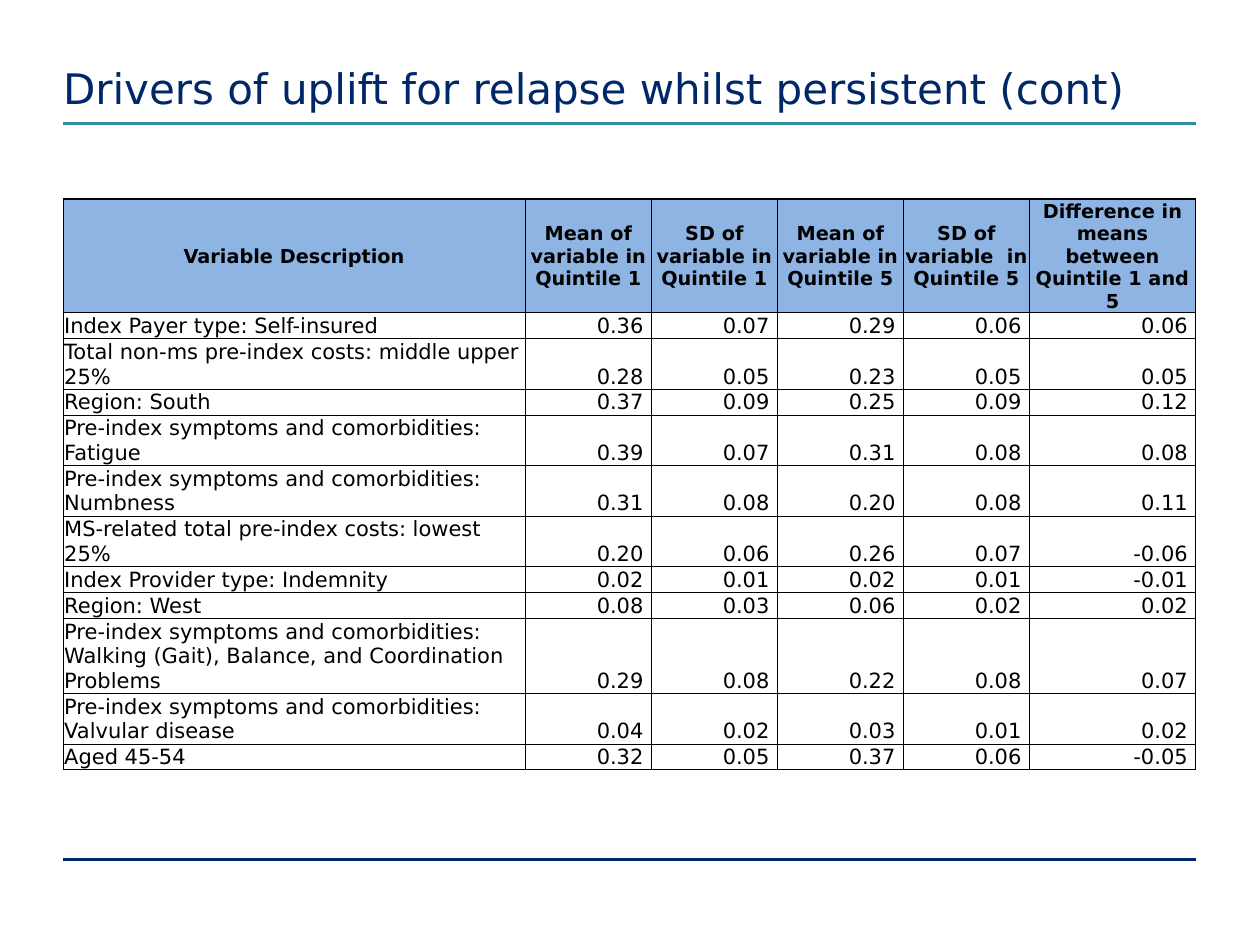
from lxml.etree import SubElement
from pptx import Presentation
from pptx.dml.color import RGBColor
from pptx.enum.shapes import MSO_CONNECTOR
from pptx.enum.text import MSO_ANCHOR, PP_ALIGN
from pptx.oxml.ns import qn
from pptx.util import Inches, Pt

NAVY = RGBColor(0x00, 0x28, 0x68)
TEAL = RGBColor(0x2E, 0x8D, 0x9E)
HEADER_BLUE = RGBColor(0x8D, 0xB4, 0xE3)
BLACK = RGBColor(0x00, 0x00, 0x00)
FONT = "DejaVu Sans"

LEFT, RIGHT = 0.5, 9.49
COLUMN_WIDTHS = [3.67, 1, 1, 1, 1, 1.32]
HEADER_HEIGHT = 0.9
LINE_HEIGHT = 0.19
ROW_PADDING = 0.01

HEADERS = [
    "Variable Description",
    "Mean of variable in Quintile 1",
    "SD of variable in Quintile 1",
    "Mean of variable in Quintile 5",
    "SD of variable  in Quintile 5",
    "Difference in means between Quintile 1 and 5",
]
# Number of text lines, description, values
DRIVERS = [
    (1, "Index Payer type: Self-insured", [0.36, 0.07, 0.29, 0.06, 0.06]),
    (2, "Total non-ms pre-index costs: middle upper 25%", [0.28, 0.05, 0.23, 0.05, 0.05]),
    (1, "Region: South", [0.37, 0.09, 0.25, 0.09, 0.12]),
    (2, "Pre-index symptoms and comorbidities: Fatigue", [0.39, 0.07, 0.31, 0.08, 0.08]),
    (2, "Pre-index symptoms and comorbidities: Numbness", [0.31, 0.08, 0.20, 0.08, 0.11]),
    (2, "MS-related total pre-index costs: lowest 25%", [0.20, 0.06, 0.26, 0.07, -0.06]),
    (1, "Index Provider type: Indemnity", [0.02, 0.01, 0.02, 0.01, -0.01]),
    (1, "Region: West", [0.08, 0.03, 0.06, 0.02, 0.02]),
    (3, "Pre-index symptoms and comorbidities: Walking (Gait), Balance, and "
        "Coordination Problems", [0.29, 0.08, 0.22, 0.08, 0.07]),
    (2, "Pre-index symptoms and comorbidities: Valvular disease",
        [0.04, 0.02, 0.03, 0.01, 0.02]),
    (1, "Aged 45-54", [0.32, 0.05, 0.37, 0.06, -0.05]),
]


def format_text(paragraph, size, color, bold=False, align=PP_ALIGN.LEFT):
    paragraph.alignment = align
    for span in paragraph.runs:
        span.font.name = FONT
        span.font.size = Pt(size)
        span.font.bold = bold
        span.font.color.rgb = color


def add_title(page, text):
    title = page.shapes.title
    title.left, title.top = Inches(LEFT), Inches(0)
    title.width, title.height = Inches(9), Inches(0.9)
    frame = title.text_frame
    frame.margin_left = frame.margin_right = 0
    frame.margin_top = frame.margin_bottom = 0
    frame.vertical_anchor = MSO_ANCHOR.BOTTOM
    frame.word_wrap = True
    frame.text = text
    format_text(frame.paragraphs[0], 24, NAVY)


def add_rule(page, y, color):
    rule = page.shapes.add_connector(
        MSO_CONNECTOR.STRAIGHT, Inches(LEFT), Inches(y), Inches(RIGHT), Inches(y))
    rule.line.color.rgb = color
    rule.line.width = Pt(1.5)
    SubElement(rule._element.spPr, qn("a:effectLst"))


def add_borders(cell, top_width):
    properties = cell._tc.get_or_add_tcPr()
    for side, width in (("L", 0.5), ("R", 0.5), ("T", top_width), ("B", 0.5)):
        border = SubElement(properties, qn(f"a:ln{side}"), w=str(Pt(width)))
        fill = SubElement(border, qn("a:solidFill"))
        SubElement(fill, qn("a:srgbClr"), val=str(BLACK))


def fill_cell(cell, text, align, header=False):
    cell.margin_left = cell.margin_right = cell.margin_top = Inches(0.01)
    cell.margin_bottom = 0
    cell.vertical_anchor = MSO_ANCHOR.MIDDLE if header else MSO_ANCHOR.BOTTOM
    cell.text_frame.text = text
    format_text(cell.text_frame.paragraphs[0], 11 if header else 12, BLACK, header, align)
    add_borders(cell, 1 if header else 0.5)
    if header:
        cell.fill.solid()
        cell.fill.fore_color.rgb = HEADER_BLUE
    else:
        cell.fill.background()


def add_driver_table(page):
    heights = [HEADER_HEIGHT] + [ROW_PADDING + lines * LINE_HEIGHT for lines, _, _ in DRIVERS]
    table = page.shapes.add_table(
        len(heights), len(HEADERS), Inches(LEFT), Inches(1.58),
        Inches(sum(COLUMN_WIDTHS)), Inches(sum(heights))).table
    table.first_row = table.horz_banding = False
    for column, width in zip(table.columns, COLUMN_WIDTHS):
        column.width = Inches(width)
    for row, height in zip(table.rows, heights):
        row.height = Inches(height)

    for column, text in enumerate(HEADERS):
        fill_cell(table.cell(0, column), text, PP_ALIGN.CENTER, header=True)
    for row, (_, description, values) in enumerate(DRIVERS, 1):
        fill_cell(table.cell(row, 0), description, PP_ALIGN.LEFT)
        for column, value in enumerate(values, 1):
            fill_cell(table.cell(row, column), f"{value:.2f} ", PP_ALIGN.RIGHT)


def main():
    deck = Presentation()
    deck.slide_width, deck.slide_height = Inches(10), Inches(7.5)
    page = deck.slides.add_slide(deck.slide_layouts.get_by_name("Title Only"))
    add_rule(page, 0.98, TEAL)
    add_rule(page, 6.82, NAVY)
    add_title(page, "Drivers of uplift for relapse whilst persistent (cont)")
    add_driver_table(page)
    deck.save("out.pptx")


if __name__ == "__main__":
    main()
